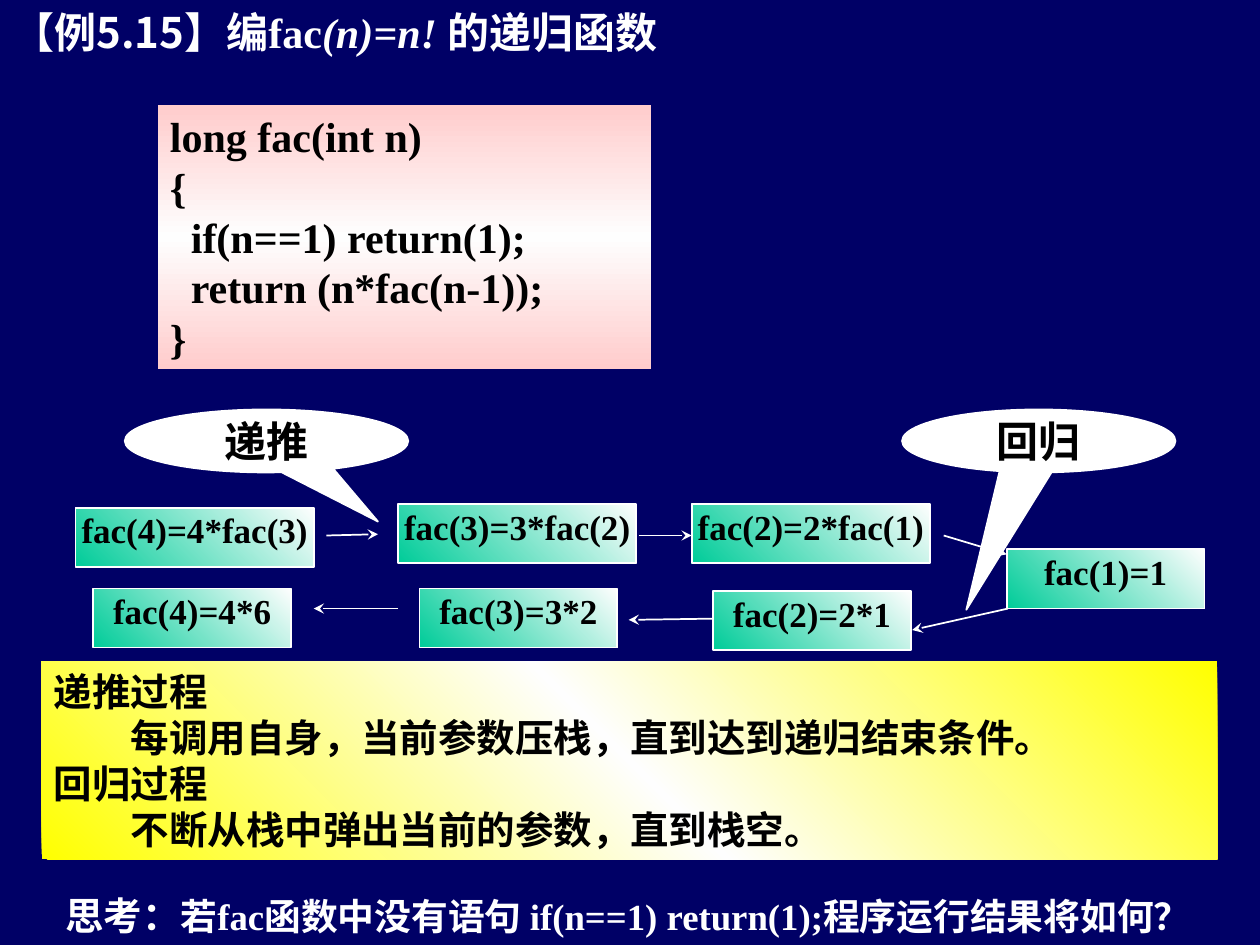
from typing import NamedTuple

from lxml import etree
from pptx import Presentation
from pptx.dml.color import RGBColor
from pptx.enum.shapes import MSO_CONNECTOR, MSO_SHAPE
from pptx.enum.text import MSO_ANCHOR, PP_ALIGN
from pptx.oxml.ns import qn
from pptx.util import Inches, Pt

NAVY = RGBColor(0x00, 0x00, 0x66)
WHITE = RGBColor(0xFF, 0xFF, 0xFF)
BLACK = RGBColor(0x00, 0x00, 0x00)
PALE = RGBColor(0xFE, 0xFE, 0xFE)
PINK = RGBColor(0xFF, 0xCC, 0xCC)
GREEN = RGBColor(0x00, 0xCC, 0x99)
YELLOW = RGBColor(0xFF, 0xFF, 0x00)
SERIF = "Times New Roman"
CJK = "Noto Sans CJK SC"


class Box(NamedTuple):
    left: float
    top: float
    width: float
    height: float


class Callout(NamedTuple):
    text: str
    box: Box
    tip: tuple[float, float]


class Step(NamedTuple):
    text: str
    left: float
    top: float
    width: float


class Arrow(NamedTuple):
    x1: float
    y1: float
    x2: float
    y2: float


CALL_W, RETURN_W, STEP_H = 1.89, 1.57, 0.47

CALLOUTS = [
    Callout("递推", Box(0.99, 3.25, 2.25, 0.5), (3, 4.14)),
    Callout("回归", Box(7.16, 3.25, 2.17, 0.5), (7.67, 4.84)),
]
STEPS = [
    Step("fac(4)=4*fac(3)", 0.6, 4.03, CALL_W),
    Step("fac(3)=3*fac(2)", 3.16, 4, CALL_W),
    Step("fac(2)=2*fac(1)", 5.49, 4, CALL_W),
    Step("fac(1)=1", 7.99, 4.36, RETURN_W),
    Step("fac(2)=2*1", 5.66, 4.69, RETURN_W),
    Step("fac(3)=3*2", 3.33, 4.67, RETURN_W),
    Step("fac(4)=4*6", 0.74, 4.67, RETURN_W),
]
ARROWS = [
    Arrow(2.59, 4.25, 3, 4.24),
    Arrow(5.07, 4.25, 5.49, 4.25),
    Arrow(7.49, 4.25, 7.99, 4.4),
    Arrow(8, 4.83, 7.24, 5),
    Arrow(5.66, 4.91, 4.99, 4.92),
    Arrow(3.16, 4.83, 2.49, 4.83),
]
CODE = [
    "long fac(int n)",
    "{",
    "  if(n==1) return(1);",
    "  return (n*fac(n-1));",
    "}",
]
PROCESSES = [
    ("递推过程", "每调用自身，当前参数压栈，直到达到递归结束条件。"),
    ("回归过程", "不断从栈中弹出当前的参数，直到栈空。"),
]


def place(box: Box) -> list[int]:
    return [Inches(v) for v in box]


def style_paragraph(p, size: float, color: RGBColor, align=PP_ALIGN.LEFT) -> None:
    p.alignment = align
    p.font.size = Pt(size)
    p.font.bold = True
    p.font.name = SERIF
    p.font.color.rgb = color
    # East Asian face, which the public font object does not reach
    defaults = p._p.pPr.find(qn("a:defRPr"))
    etree.SubElement(defaults, qn("a:ea")).set("typeface", CJK)


def set_margins(tf, x: float, y: float) -> None:
    tf.margin_left = tf.margin_right = Inches(x)
    tf.margin_top = tf.margin_bottom = Inches(y)


def write_lines(tf, lines: list[str], size: float, align=PP_ALIGN.LEFT) -> None:
    for i, line in enumerate(lines):
        p = tf.paragraphs[0] if i == 0 else tf.add_paragraph()
        p.add_run().text = line
        style_paragraph(p, size, BLACK, align)


def set_gradient(sp, colors: list[RGBColor], angle: int) -> None:
    """Spread colours evenly along a clockwise angle in degrees."""
    sp.fill.gradient()
    sp.fill.gradient_angle = 360 - angle
    stops = sp._element.spPr.find(qn("a:gradFill")).find(qn("a:gsLst"))
    for stop in list(stops):
        stops.remove(stop)
    for i, color in enumerate(colors):
        stop = etree.SubElement(stops, qn("a:gs"))
        stop.set("pos", str(100000 * i // (len(colors) - 1)))
        etree.SubElement(stop, qn("a:srgbClr")).set("val", str(color))


def add_panel(s, box: Box, colors: list[RGBColor], angle: int):
    sp = s.shapes.add_shape(MSO_SHAPE.RECTANGLE, *place(box))
    sp.shadow.inherit = False
    set_gradient(sp, colors, angle)
    sp.line.fill.background()
    sp.text_frame.word_wrap = True
    sp.text_frame.vertical_anchor = MSO_ANCHOR.TOP
    return sp


def add_callout(s, callout: Callout) -> None:
    box = callout.box
    sp = s.shapes.add_shape(MSO_SHAPE.OVAL_CALLOUT, *place(box))
    sp.shadow.inherit = False
    sp.adjustments[0] = (callout.tip[0] - box.left) / box.width - 0.5
    sp.adjustments[1] = (callout.tip[1] - box.top) / box.height - 0.5
    sp.fill.solid()
    sp.fill.fore_color.rgb = WHITE
    sp.line.color.rgb = WHITE
    sp.line.width = Pt(1)
    tf = sp.text_frame
    tf.word_wrap = False
    tf.vertical_anchor = MSO_ANCHOR.MIDDLE
    set_margins(tf, 0, 0)
    write_lines(tf, [callout.text], 24, PP_ALIGN.CENTER)


def add_step(s, step: Step) -> None:
    box = Box(step.left, step.top, step.width, STEP_H)
    sp = add_panel(s, box, [PALE, GREEN], 135)
    sp.line.color.rgb = WHITE
    sp.line.width = Pt(1)
    set_margins(sp.text_frame, 0.01, 0.01)
    write_lines(sp.text_frame, [step.text], 20, PP_ALIGN.CENTER)


def add_arrow(s, arrow: Arrow) -> None:
    line = s.shapes.add_connector(MSO_CONNECTOR.STRAIGHT, *[Inches(v) for v in arrow])
    line.line.color.rgb = WHITE
    line.line.width = Pt(1)
    etree.SubElement(line.line._get_or_add_ln(), qn("a:tailEnd")).set("type", "stealth")
    etree.SubElement(line._element.spPr, qn("a:effectLst"))


def add_sentence(s, box: Box, size: float, parts: list[str]):
    tf = s.shapes.add_textbox(*place(box)).text_frame
    tf.word_wrap = True
    p = tf.paragraphs[0]
    for part in parts:
        p.add_run().text = part
    style_paragraph(p, size, WHITE)
    return p.runs


def main() -> None:
    prs = Presentation()
    prs.slide_width, prs.slide_height = Inches(10), Inches(7.5)
    s = prs.slides.add_slide(prs.slide_layouts[6])
    s.background.fill.solid()
    s.background.fill.fore_color.rgb = NAVY

    for callout in CALLOUTS:
        add_callout(s, callout)
    for step in STEPS:
        add_step(s, step)
    for arrow in ARROWS:
        add_arrow(s, arrow)

    title = add_sentence(s, Box(0, 0, 8.08, 0.5), 24,
                         ["【例5.15】", "编fac", "(n)=n! ", "的递归函数"])
    title[0].font.name = CJK
    title[2].font.italic = True

    code = add_panel(s, Box(1.25, 0.83, 3.92, 2.1), [PINK, PALE, PINK], 90)
    write_lines(code.text_frame, CODE, 24)

    notes = add_panel(s, Box(0.33, 5.25, 9.33, 1.57), [YELLOW, PALE, YELLOW], 135)
    write_lines(notes.text_frame, [line for pair in PROCESSES for line in pair], 22)
    for p in notes.text_frame.paragraphs[1::2]:
        p._p.pPr.set("indent", str(Pt(44)))

    question = add_sentence(s, Box(0.42, 7.03, 9.58, 0.47), 21,
                            ["思考：", "若fac函数中没有语句 if(n==1) return(1);", "程序运行结果将如何？"])
    question[0].font.size = Pt(22)
    question[2].font.name = CJK

    prs.save("out.pptx")


if __name__ == "__main__":
    main()
